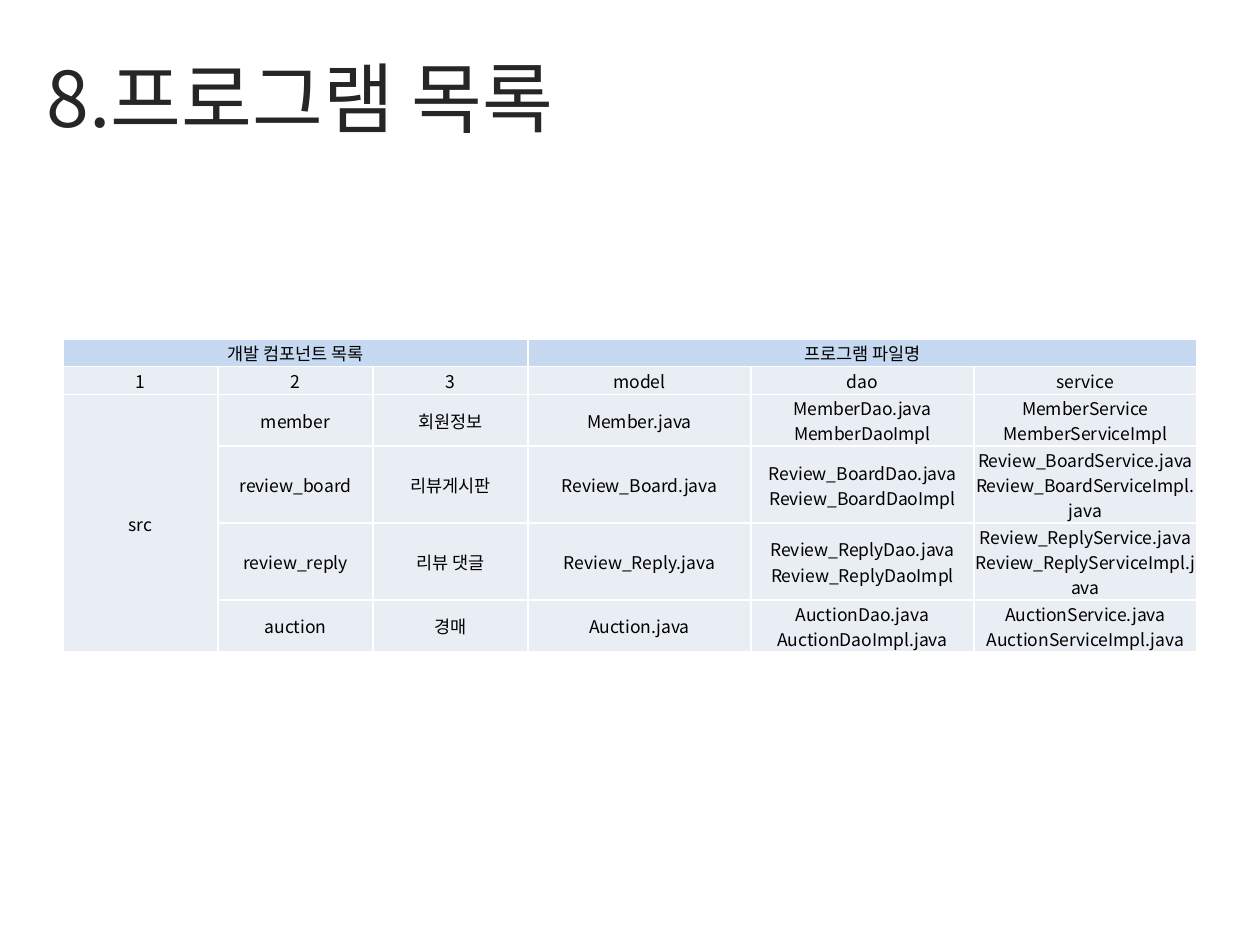
import copy
import lxml.etree
import pptx
import pptx.dml.color
import pptx.enum.text
import pptx.oxml
import pptx.oxml.ns
import pptx.util

Inches = pptx.util.Inches
Pt = pptx.util.Pt
qn = pptx.oxml.ns.qn
rgb = pptx.dml.color.RGBColor.from_string
align = pptx.enum.text.PP_ALIGN
middle = pptx.enum.text.MSO_ANCHOR.MIDDLE

theme = {
    "font": "Noto Sans CJK KR",
    "title": {"size": 44, "color": "262626"},
    "body": {"size": 10, "color": "000000"},
    "head": "C6D9F1",
    "cell": "E9EDF4",
    "rule": "FFFFFF",
}


def style(para, look, side):
    para.alignment = side
    for run in para.runs:
        run.font.size = Pt(look["size"])
        run.font.name = theme["font"]
        run.font.color.rgb = rgb(look["color"])
        face = lxml.etree.SubElement(run.font._element, qn("a:ea"))
        face.set("typeface", theme["font"])
    # Line breaks take the type size of the text around them
    for gap in para._p.findall(qn("a:br")):
        gap.insert(0, copy.deepcopy(para.runs[0].font._element))


def border(cell):
    props = cell._tc.get_or_add_tcPr()
    for edge in ("lnL", "lnR", "lnT", "lnB"):
        line = lxml.etree.SubElement(props, qn("a:" + edge), w=str(Pt(1)))
        fill = lxml.etree.SubElement(line, qn("a:solidFill"))
        lxml.etree.SubElement(fill, qn("a:srgbClr"), val=theme["rule"])


deck = pptx.Presentation()
deck.slide_width = Inches(10)
deck.slide_height = Inches(7.5)
slide = deck.slides.add_slide(deck.slide_layouts[5])

# Title
title = slide.shapes.title
place = {"left": 0.27, "top": 0.37, "width": 9.49, "height": 0.79}
for name, value in place.items():
    setattr(title, name, Inches(value))
frame = title.text_frame
frame.text = "8.프로그램 목록"
frame.auto_size = pptx.enum.text.MSO_AUTO_SIZE.NONE
frame.vertical_anchor = middle
style(frame.paragraphs[0], theme["title"], align.LEFT)

# Table content: \v is a line break inside a cell
rows = [
    ["개발 컴포넌트 목록", "", "", "프로그램 파일명", "", ""],
    ["1", "2", "3", "model", "dao", "service"],
    ["src", "member", "회원정보", "Member.java",
     "MemberDao.java\vMemberDaoImpl",
     "MemberService\vMemberServiceImpl"],
    ["", "review_board", "리뷰게시판", "Review_Board.java",
     "Review_BoardDao.java\vReview_BoardDaoImpl",
     "Review_BoardService.java\vReview_BoardServiceImpl.java"],
    ["", "review_reply", "리뷰 댓글", "Review_Reply.java",
     "Review_ReplyDao.java\vReview_ReplyDaoImpl",
     "Review_ReplyService.java\vReview_ReplyServiceImpl.java"],
    ["", "auction", "경매", "Auction.java",
     "AuctionDao.java\vAuctionDaoImpl.java",
     "AuctionService.java\vAuctionServiceImpl.java"],
]
widths = [1.23] * 3 + [1.77] * 3
heights = [0.22, 0.22, 0.33, 0.5, 0.5, 0.33]
merges = [((0, 0), (0, 2)), ((0, 3), (0, 5)), ((2, 0), (5, 0))]

# Table grid
table = slide.shapes.add_table(
    len(rows), len(widths), Inches(0.5), Inches(2.69),
    Inches(sum(widths)), Inches(sum(heights))).table
for column, width in zip(table.columns, widths):
    column.width = Inches(width)
for row, height in zip(table.rows, heights):
    row.height = Inches(height)
for first, last in merges:
    table.cell(*first).merge(table.cell(*last))

# Table cells
form = {
    "vertical_anchor": middle,
    "margin_left": Inches(0.01),
    "margin_right": Inches(0.01),
    "margin_top": Inches(0.01),
    "margin_bottom": Inches(0),
}
for r, words in enumerate(rows):
    for c, text in enumerate(words):
        cell = table.cell(r, c)
        for name, value in form.items():
            setattr(cell, name, value)
        border(cell)
        cell.fill.solid()
        cell.fill.fore_color.rgb = rgb(theme["cell" if r else "head"])
        if text:
            cell.text_frame.text = text
            style(cell.text_frame.paragraphs[0], theme["body"], align.CENTER)

deck.save("out.pptx")
